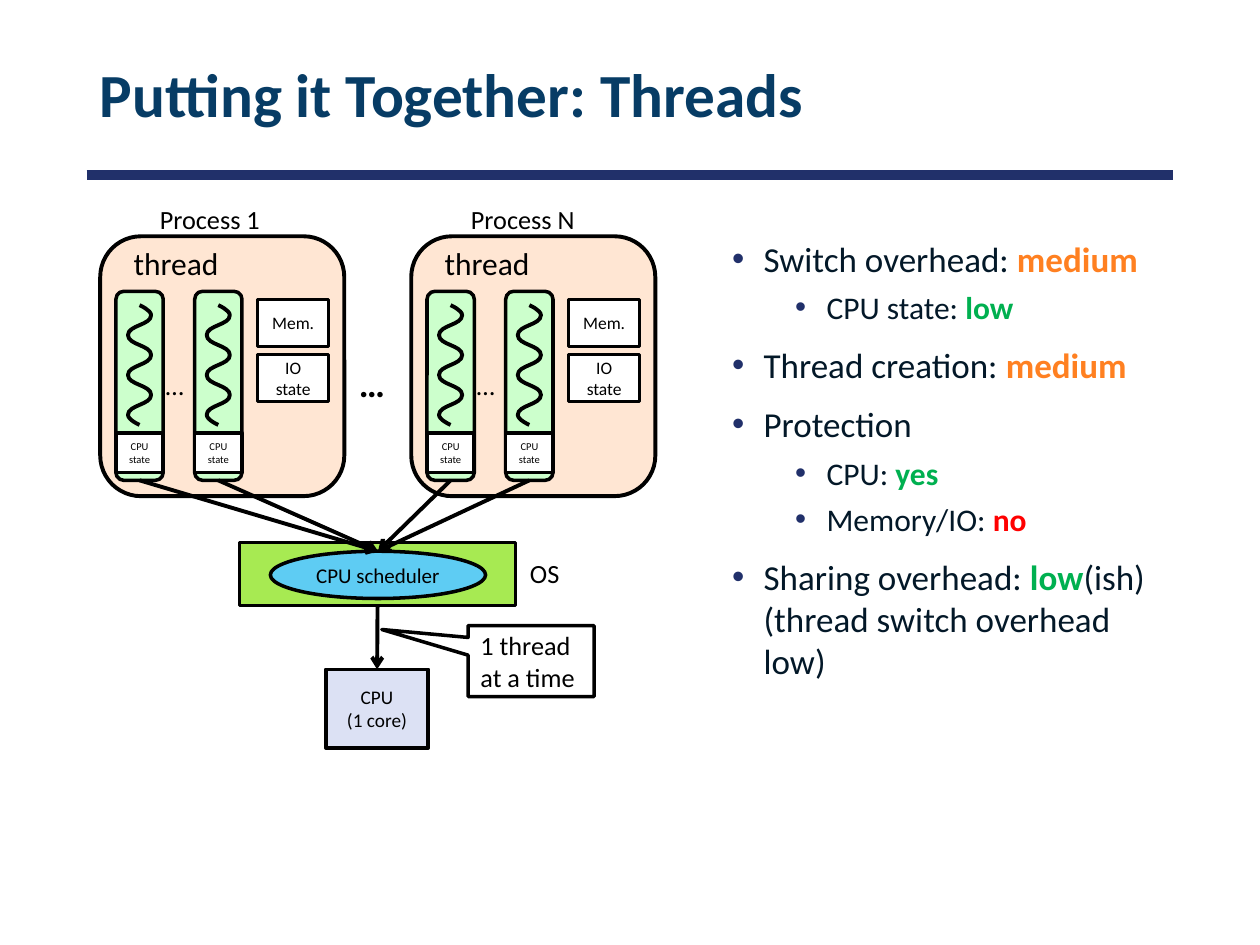
"""Build a slide that sums up threads: process diagram on the left, costs on the right."""
from lxml import etree
from pptx import Presentation
from pptx.dml.color import RGBColor
from pptx.enum import shapes, text
from pptx.oxml import ns
from pptx.util import Pt

FONT = "Calibri"
BLACK = RGBColor(0x00, 0x00, 0x00)
WHITE = RGBColor(0xFF, 0xFF, 0xFF)
NAVY = RGBColor(0x21, 0x30, 0x6A)
TITLE_BLUE = RGBColor(0x07, 0x3C, 0x65)
BODY_INK = RGBColor(0x03, 0x18, 0x28)
ORANGE = RGBColor(0xFF, 0x80, 0x21)
GREEN = RGBColor(0x00, 0xB0, 0x50)
RED = RGBColor(0xFF, 0x00, 0x00)
PEACH = RGBColor(0xFF, 0xE6, 0xD3)
MINT = RGBColor(0xCC, 0xFF, 0xCC)
LIME = RGBColor(0xA7, 0xEA, 0x52)
SKY = RGBColor(0x5E, 0xCC, 0xF3)
LAVENDER = RGBColor(0xDC, 0xE1, 0xF4)

RECTANGLE = shapes.MSO_SHAPE.RECTANGLE
ROUNDED = shapes.MSO_SHAPE.ROUNDED_RECTANGLE
THREAD_TOP = 166.5
THREAD_WIDTH = 27

BULLETS = [
    (0, [("Switch overhead: ", None), ("medium", ORANGE)]),
    (1, [("CPU state: ", None), ("low", GREEN)]),
    (0, [("Thread creation: ", None), ("medium", ORANGE)]),
    (0, [("Protection", None)]),
    (1, [("CPU: ", None), ("yes", GREEN)]),
    (1, [("Memory/IO: ", None), ("no", RED)]),
    (0, [("Sharing overhead: ", None), ("low", GREEN),
         ("(ish) (thread switch overhead low)", None)]),
]


def set_font(font, size, color=BLACK, bold=False):
    font.name = FONT
    font.size = Pt(size)
    font.bold = bold
    font.color.rgb = color


def add_box(slide, kind, left, top, width, height, fill, lines=(), size=10, line_width=2):
    """Add an outlined shape with centred lines of text."""
    shape = slide.shapes.add_shape(kind, Pt(left), Pt(top), Pt(width), Pt(height))
    shape.shadow.inherit = False
    shape.fill.solid()
    shape.fill.fore_color.rgb = fill
    shape.line.color.rgb = BLACK
    shape.line.width = Pt(line_width)
    if lines:
        frame = shape.text_frame
        frame.margin_left = frame.margin_right = frame.margin_top = frame.margin_bottom = 0
        frame.vertical_anchor = text.MSO_ANCHOR.MIDDLE
        frame.text = "\n".join(lines)
        for paragraph in frame.paragraphs:
            paragraph.alignment = text.PP_ALIGN.CENTER
            set_font(paragraph.font, size)
    return shape


def add_label(slide, left, top, width, height, wording, size, bold=False):
    box = slide.shapes.add_textbox(Pt(left), Pt(top), Pt(width), Pt(height))
    frame = box.text_frame
    frame.word_wrap = False
    frame.auto_size = text.MSO_AUTO_SIZE.SHAPE_TO_FIT_TEXT
    frame.text = wording
    set_font(frame.paragraphs[0].font, size, bold=bold)


def add_line(slide, start, end, color, width):
    connector = slide.shapes.add_connector(
        shapes.MSO_CONNECTOR.STRAIGHT, *(Pt(value) for value in (*start, *end)))
    connector.line.color.rgb = color
    connector.line.width = Pt(width)
    etree.SubElement(connector.element.spPr, ns.qn("a:effectLst"))
    return connector


def add_arrow(slide, source, target):
    """Join the bottom of one shape to the top of another with an arrow."""
    connector = add_line(slide, (0, 0), (0, 0), BLACK, 2.25)
    connector.begin_connect(source, 2)
    connector.end_connect(target, 0)
    outline = connector.element.spPr.find(ns.qn("a:ln"))
    etree.SubElement(outline, ns.qn("a:tailEnd"), type="arrow")


def curve_segments(freeform):
    """Turn the straight segments of a wave into Bézier curves, upright at each turn."""
    segments = list(freeform.element.iter(ns.qn("a:lnTo")))
    start = next(freeform.element.iter(ns.qn("a:moveTo")))
    x, y = (int(start[0].get(key)) for key in "xy")
    for index, segment in enumerate(segments):
        end_x, end_y = (int(segment[0].get(key)) for key in "xy")
        middle = (y + end_y) // 2
        first = (x, middle) if index else (x, y)
        second = (end_x, middle) if segment is not segments[-1] else (end_x, end_y)
        segment.tag = ns.qn("a:cubicBezTo")
        for position, (control_x, control_y) in enumerate((first, second)):
            point = etree.Element(ns.qn("a:pt"), x=str(control_x), y=str(control_y))
            segment.insert(position, point)
        x, y = end_x, end_y


def add_squiggle(slide, center, top, turns=6, pitch=11.4, amplitude=6.6):
    """Draw a vertical wave that turns right and left by turns."""
    points = [(center, top)]
    points += [(center + amplitude * (-1) ** turn, top + pitch * (turn + 0.5))
               for turn in range(turns)]
    points.append((center, top + pitch * turns))
    corners = [(Pt(x), Pt(y)) for x, y in points]
    builder = slide.shapes.build_freeform(*corners[0])
    builder.add_line_segments(corners[1:], close=False)
    wave = builder.convert_to_shape()
    curve_segments(wave)
    wave.shadow.inherit = False
    wave.fill.background()
    wave.line.color.rgb = BLACK
    wave.line.width = Pt(2.25)


def add_thread(slide, left):
    column = add_box(slide, ROUNDED, left, THREAD_TOP, THREAD_WIDTH, 108, MINT)
    add_squiggle(slide, left + THREAD_WIDTH / 2, THREAD_TOP + 7.9)
    add_box(slide, RECTANGLE, left, 247.5, THREAD_WIDTH, 22.5, WHITE, ["CPU", "state"], 6)
    return column


def add_process(slide, left, name, name_width):
    """Draw one process and return its thread columns."""
    add_label(slide, left + 27, 112.5, name_width, 25, name, 15)
    add_box(slide, ROUNDED, left, 135, 139.5, 148.5, PEACH, line_width=2.25)
    add_label(slide, left + 12, 136, 67, 29, "threads", 18)
    add_label(slide, left + 30.25, 207.5, 29.5, 25, "…", 15)
    for top, lines in ((171, ["Mem."]), (202.5, ["IO", "state"])):
        add_box(slide, RECTANGLE, left + 90, top, 40.5, 27, WHITE, lines)
    return [add_thread(slide, left + offset) for offset in (9, 54)]


def add_callout(slide):
    callout = add_box(slide, shapes.MSO_SHAPE.RECTANGULAR_CALLOUT, 267.5, 357.5, 72, 40.5, WHITE)
    callout.adjustments[0] = -1.185
    callout.adjustments[1] = -0.445
    frame = callout.text_frame
    frame.vertical_anchor = text.MSO_ANCHOR.MIDDLE
    frame.text = "1 thread at a time"
    frame.paragraphs[0].alignment = text.PP_ALIGN.LEFT
    set_font(frame.paragraphs[0].font, 15)


def add_title(slide):
    box = slide.shapes.add_textbox(Pt(50), Pt(17), Pt(621), Pt(78))
    frame = box.text_frame
    frame.word_wrap = True
    frame.vertical_anchor = text.MSO_ANCHOR.MIDDLE
    frame.text = "Putting it Together: Threads"
    frame.paragraphs[0].line_spacing = 0.9
    set_font(frame.paragraphs[0].font, 35, TITLE_BLUE, True)
    add_line(slide, (49.5, 100), (670.5, 100), NAVY, 6)


def add_bullets(slide):
    box = slide.shapes.add_textbox(Pt(411.25), Pt(132), Pt(259.5), Pt(391))
    frame = box.text_frame
    frame.word_wrap = True
    for index, (level, runs) in enumerate(BULLETS):
        paragraph = frame.add_paragraph() if index else frame.paragraphs[0]
        paragraph.level = level
        properties = paragraph._p.get_or_add_pPr()
        properties.set("marL", str(Pt(54 if level else 18)))
        properties.set("indent", str(Pt(-18)))
        color = etree.SubElement(properties, ns.qn("a:buClr"))
        etree.SubElement(color, ns.qn("a:srgbClr"), val=str(NAVY))
        etree.SubElement(properties, ns.qn("a:buFont"), typeface="Arial")
        etree.SubElement(properties, ns.qn("a:buChar"), char="•")
        if index:
            paragraph.space_before = Pt(5 if level else 10)
        set_font(paragraph.font, 18 if level else 20, BODY_INK)
        for wording, highlight in runs:
            run = paragraph.add_run()
            run.text = wording
            if highlight:
                run.font.bold = True
                run.font.color.rgb = highlight


def main():
    presentation = Presentation()
    presentation.slide_width, presentation.slide_height = Pt(720), Pt(540)
    slide = presentation.slides.add_slide(presentation.slide_layouts[6])
    add_title(slide)
    add_bullets(slide)
    system = add_box(slide, RECTANGLE, 137, 310, 157.5, 36, LIME)
    scheduler = add_box(slide, shapes.MSO_SHAPE.OVAL, 154.5, 315, 123, 27, SKY,
                        ["CPU scheduler"], 12)
    add_label(slide, 295.75, 315, 34, 25, "OS", 15)
    cpu = add_box(slide, RECTANGLE, 186.25, 382.5, 58.5, 45, LAVENDER, ["CPU", "(1 core)"], 11)
    add_arrow(slide, system, cpu)
    add_callout(slide)
    threads = add_process(slide, 57.25, "Process 1", 71.5)
    threads += add_process(slide, 235, "Process N", 75.5)
    add_label(slide, 198, 202.5, 36, 32.5, "…", 21, True)
    for thread in threads:
        add_arrow(slide, thread, scheduler)
    presentation.save("out.pptx")


if __name__ == "__main__":
    main()
